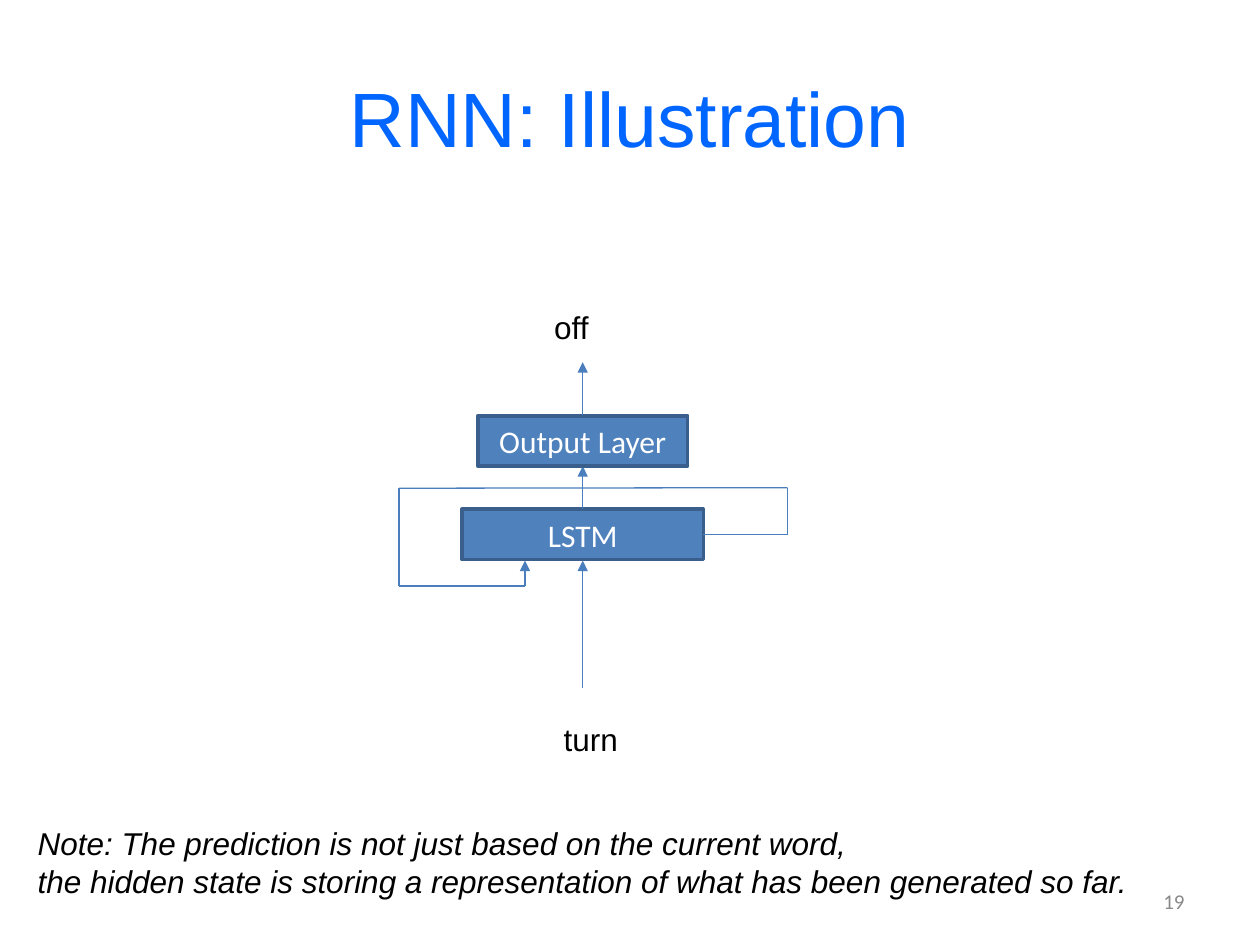
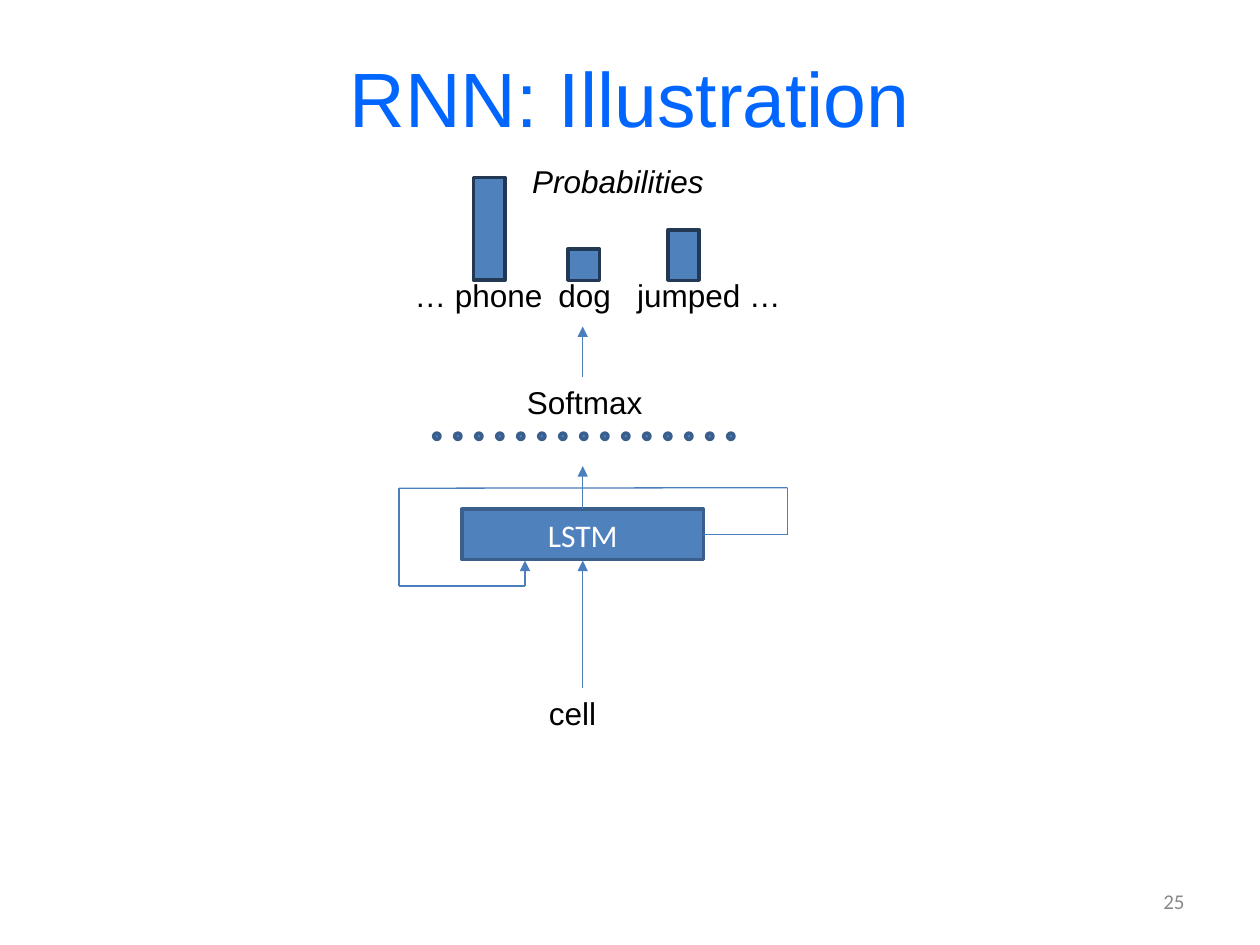
from lxml import etree
from pptx import Presentation
from pptx import util as u
from pptx.dml.color import RGBColor
from pptx.enum import shapes, text
from pptx.oxml.ns import qn

TITLE_BLUE = RGBColor(0x00, 0x66, 0xFF)
BLOCK_BLUE = RGBColor(0x4F, 0x81, 0xBD)
BLOCK_EDGE = RGBColor(0x3A, 0x5F, 0x8C)
BAR_EDGE = RGBColor(0x23, 0x39, 0x53)
ARROW_BLUE = RGBColor(0x4B, 0x7E, 0xBC)
NUMBER_GREY = RGBColor(0x89, 0x89, 0x89)
BLACK = RGBColor(0, 0, 0)
WHITE = RGBColor(255, 255, 255)

TITLE = "RNN: Illustration"
NOTE = [
    "Note: The prediction is not just based on the current word,",
    "the hidden state is storing a representation of what has been generated so far.",
]
CANDIDATES = "… phone\tdog\tjumped …"
CANDIDATE_TABS = [13.7, 21.2]
PROBABILITIES = [(45.1, 9.8), (54.1, 3), (63.6, 4.8)]
DOT_COUNT = 15

COLUMNS, ROWS = 120, 90
ROW_HEIGHT = 4.8
AXIS = 55.5
LSTM = (44, 48.5, 23, ROW_HEIGHT)
OUTPUT_LAYER = (45.5, 39.6, 20, ROW_HEIGHT)
LOOP = [(67, 50.9), (75, 50.9), (75, 46.45), (38, 46.5), (38, 55.8), (50, 55.8), (50, 53.4)]

deck = Presentation()
deck.slide_width, deck.slide_height = u.Inches(10), u.Inches(7.5)
CELL = deck.slide_width / COLUMNS


def grid(*cells):
    return [u.Emu(round(cell * CELL)) for cell in cells]


def write(frame, lines, size=18, font="Arial", color=BLACK, italic=False,
          align=text.PP_ALIGN.LEFT, anchor=text.MSO_ANCHOR.TOP, wrap=False, tabs=()):
    frame.word_wrap = wrap
    frame.vertical_anchor = anchor
    for index, line in enumerate([lines] if isinstance(lines, str) else lines):
        paragraph = frame.add_paragraph() if index else frame.paragraphs[0]
        paragraph.alignment = align
        run = paragraph.add_run()
        run.text = line
        run.font.size, run.font.name = u.Pt(size), font
        run.font.italic, run.font.color.rgb = italic, color
        if tabs:
            stops = etree.SubElement(paragraph._p.get_or_add_pPr(), qn("a:tabLst"))
            for stop in grid(*tabs):
                etree.SubElement(stops, qn("a:tab"), pos=str(int(stop)), algn="l")


def label(parent, lines, left, top, width, height=ROW_HEIGHT, **style):
    write(parent.add_textbox(*grid(left, top, width, height)).text_frame, lines, **style)


def block(parent, place, caption="", kind=shapes.MSO_SHAPE.RECTANGLE, edge=BLOCK_EDGE):
    box = parent.add_shape(kind, *grid(*place))
    box.shadow.inherit = False
    box.fill.solid()
    box.fill.fore_color.rgb = BLOCK_BLUE
    box.line.color.rgb, box.line.width = edge, u.Pt(2)
    if caption:
        write(box.text_frame, caption, font="Calibri", color=WHITE, wrap=True,
              align=text.PP_ALIGN.CENTER, anchor=text.MSO_ANCHOR.MIDDLE)


def link(parent, start, end, arrow=True):
    line = parent.add_connector(shapes.MSO_CONNECTOR.STRAIGHT, *grid(*start, *end))
    line.line.color.rgb, line.line.width = ARROW_BLUE, u.Pt(0.75)
    if arrow:
        etree.SubElement(line.line._get_or_add_ln(), qn("a:tailEnd"), type="triangle")
    etree.SubElement(line._element.spPr, qn("a:effectLst"))


def rnn_slide(number, title_top):
    slide = deck.slides.add_slide(deck.slide_layouts[5])
    title = slide.shapes.title
    title.left, title.top, title.width, title.height = grid(6, title_top, 108, 15)
    write(title.text_frame, TITLE, size=44, color=TITLE_BLUE, wrap=True,
          align=text.PP_ALIGN.CENTER, anchor=text.MSO_ANCHOR.MIDDLE)
    label(slide.shapes, number, 86, 83.4, 28, size=12, font="Calibri", color=NUMBER_GREY,
          wrap=True, align=text.PP_ALIGN.RIGHT, anchor=text.MSO_ANCHOR.MIDDLE)
    block(slide.shapes, LSTM, "LSTM")
    link(slide.shapes, (AXIS, 65.5), (AXIS, 53.4))
    link(slide.shapes, (AXIS, 48.5), (AXIS, 44.4))
    for start, end in zip(LOOP, LOOP[1:]):
        link(slide.shapes, start, end, arrow=end == LOOP[-1])
    return slide.shapes


layer = rnn_slide("19", 3.6)
block(layer, OUTPUT_LAYER, "Output Layer")
link(layer, (AXIS, 39.5), (AXIS, 34.5))
label(layer, "turn", 52.5, 68, 7.7)
label(layer, "off", 51.6, 28.7, 5.8)
label(layer, NOTE, 2.4, 77.9, 106.3, 8.5, italic=True)

softmax = rnn_slide("25", 1.7)
link(softmax, (AXIS, 35.9), (AXIS, 31.1))
label(softmax, "cell", 51.1, 65.5, 7)
label(softmax, "Softmax", 49, 35.9, 13.5)
label(softmax, "Probabilities", 49.5, 14.8, 19, italic=True)
candidates = softmax.add_group_shape().shapes
label(candidates, CANDIDATES, 38.3, 25.7, 39, wrap=True, tabs=CANDIDATE_TABS)
for left, height in PROBABILITIES:
    block(candidates, (left, 26.7 - height, 3, height), edge=BAR_EDGE)
dots = softmax.add_group_shape().shapes
for index in range(DOT_COUNT):
    block(dots, (41.3 + 2 * index, 41.25, 0.6, 0.6), kind=shapes.MSO_SHAPE.OVAL)

deck.save("out.pptx")
